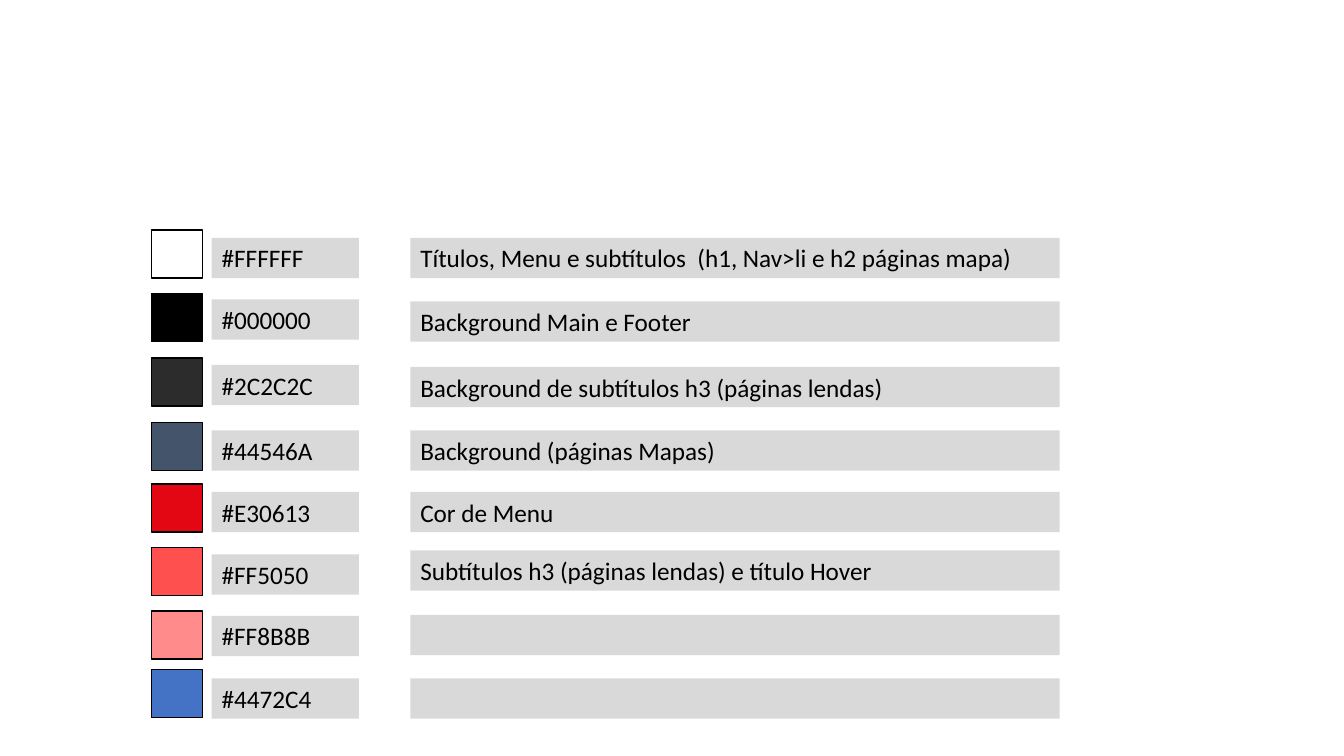
from pptx import Presentation
from pptx.dml.color import RGBColor
from pptx.enum.shapes import MSO_SHAPE
from pptx.enum.text import MSO_ANCHOR, MSO_AUTO_SIZE
from pptx.util import Inches, Pt

BLACK = RGBColor(0x00, 0x00, 0x00)
GREY = RGBColor(0xD9, 0xD9, 0xD9)
FONT = "Calibri"

# Colour code, use, and the tops of swatch, code and use
ROWS = [
    ("FFFFFF", "Títulos, Menu e subtítulos  (h1, Nav>li e h2 páginas mapa)", 2.28, 2.36, 2.36),
    ("000000", "Background Main e Footer", 2.91, 2.97, 2.99),
    ("2C2C2C", "Background de subtítulos h3 (páginas lendas)", 3.55, 3.62, 3.64),
    ("44546A", "Background (páginas Mapas)", 4.19, 4.27, 4.27),
    ("E30613", "Cor de Menu", 4.8, 4.88, 4.88),
    ("FF5050", "Subtítulos h3 (páginas lendas) e título Hover", 5.43, 5.5, 5.46),
    ("FF8B8B", "", 6.06, 6.11, 6.1),
    ("4472C4", "", 6.64, 6.73, 6.73),
]


def add_swatch(slide, left, top, color):
    box = slide.shapes.add_shape(MSO_SHAPE.RECTANGLE, Inches(left), Inches(top),
                                 Inches(0.51), Inches(0.48))
    box.shadow.inherit = False
    box.fill.solid()
    box.fill.fore_color.rgb = color
    box.line.color.rgb = BLACK
    box.line.width = Pt(1)


def add_text(slide, text, left, top, width, height=0.4, size=18, color=BLACK, fill=GREY):
    box = slide.shapes.add_textbox(Inches(left), Inches(top), Inches(width), Inches(height))
    box.fill.solid()
    box.fill.fore_color.rgb = fill
    frame = box.text_frame
    frame.word_wrap = True
    frame.auto_size = MSO_AUTO_SIZE.SHAPE_TO_FIT_TEXT
    frame.vertical_anchor = MSO_ANCHOR.TOP
    par = frame.paragraphs[0]
    par.font.size = Pt(size)
    if text:
        run = par.add_run()
        run.text = text
        run.font.name = FONT
        run.font.size = Pt(size)
        run.font.color.rgb = color


def add_palette(slide, left):
    for code, use, swatch_top, code_top, use_top in ROWS:
        add_swatch(slide, left, swatch_top, RGBColor.from_string(code))
        add_text(slide, "#" + code, left + 0.6, code_top, 1.46)
        add_text(slide, use, left + 2.57, use_top, 6.44)


def main():
    deck = Presentation()
    deck.slide_width = Inches(13.33)
    deck.slide_height = Inches(7.5)
    slide = deck.slides.add_slide(deck.slide_layouts[6])
    # Colour palette with codes and uses
    add_palette(slide, 1.5)
    deck.save("out.pptx")


if __name__ == "__main__":
    main()
